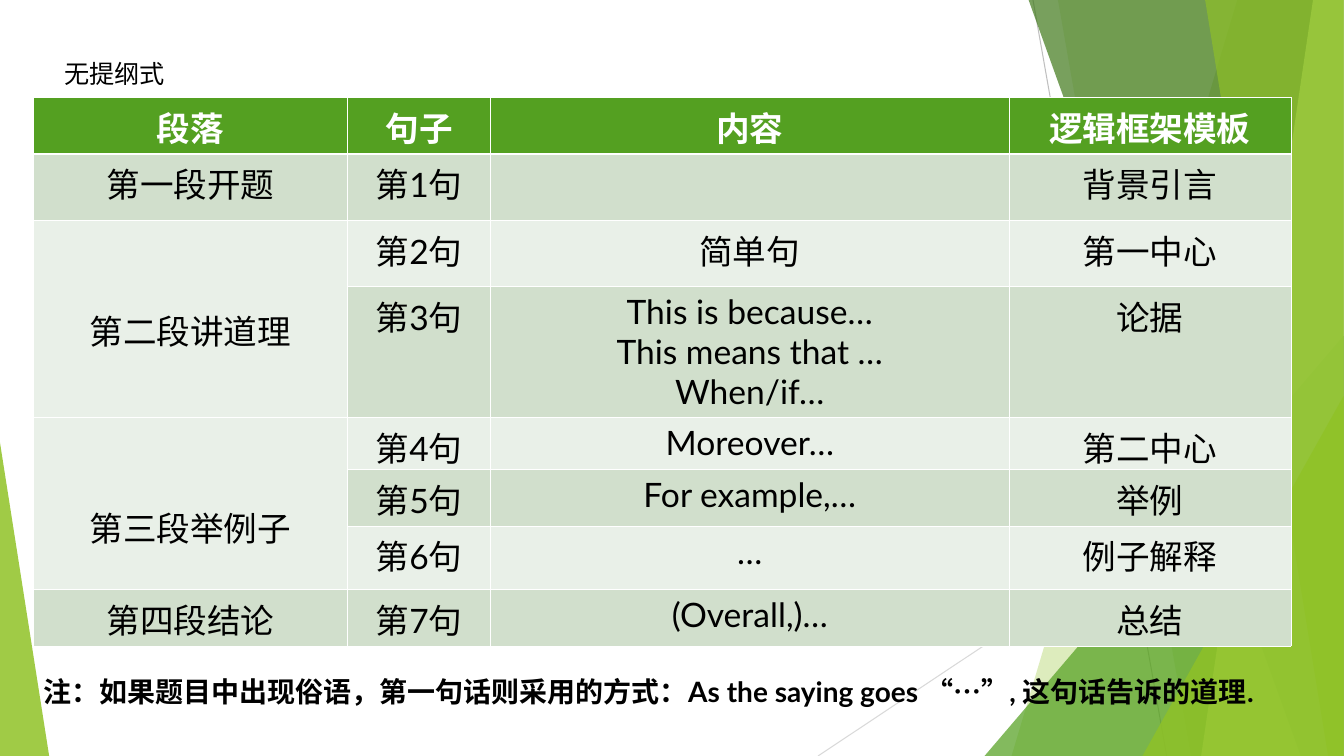
from dataclasses import dataclass

from lxml import etree
from pptx import Presentation
from pptx import util as u
from pptx.dml.color import RGBColor
from pptx.enum import lang, shapes, text
from pptx.oxml import ns

Cm, Pt = u.Cm, u.Pt


@dataclass(frozen=True)
class Theme:
    font: str = "Lato"
    white: str = "FFFFFF"
    black: str = "000000"
    lime: str = "90C226"
    pale: str = "C0E474"
    green: str = "54A021"
    dark: str = "3F7819"
    bands: tuple = ("E9F0E8", "D1DFCC")
    lines: tuple = ("BFBFBF", "D9D9D9")
    title: int = 18
    cell: int = 24
    note: int = 20
    thin: float = 0.45
    thick: float = 1.47


T = Theme()

HEAD = ("段落", "句子", "内容", "逻辑框架模板")
# Paragraph name, then its (content, logic) sentences
PARTS = (
    ("第一段开题", (("", "背景引言"),)),
    ("第二段讲道理", (
        ("简单句", "第一中心"),
        ("This is because…\nThis means that …\nWhen/if…", "论据"))),
    ("第三段举例子", (
        ("Moreover…", "第二中心"),
        ("For example,…", "举例"),
        ("…", "例子解释"))),
    ("第四段结论", (("(Overall,)…", "总结"),)),
)
COLS = (7.92, 3.61, 13.06, 7.11)
ROWS = (1.42, 1.68, 1.65, 3.3, 1.32, 1.42, 1.6, 1.42)


def put(obj, **vals):
    for key, val in vals.items():
        setattr(obj, key, val)


def write(frame, words, size, color=T.black, bold=False, align=text.PP_ALIGN.LEFT):
    frame.text = words
    for para in frame.paragraphs:
        para.alignment = align
        for run in para.runs:
            put(run.font, name=T.font, size=Pt(size), bold=bold,
                language_id=lang.MSO_LANGUAGE_ID.SIMPLIFIED_CHINESE)
            run.font.color.rgb = RGBColor.from_string(color)


def paint(shape, color, alpha):
    shape.shadow.inherit = False
    shape.line.fill.background()
    shape.fill.solid()
    shape.fill.fore_color.rgb = RGBColor.from_string(color)
    tone = shape.fill._xPr.find(".//" + ns.qn("a:srgbClr"))
    etree.SubElement(tone, ns.qn("a:alpha"), val=str(alpha * 1000))


def edge(cell, side, width):
    props = cell._tc.get_or_add_tcPr()
    line = etree.SubElement(props, ns.qn("a:ln" + side), w=str(Pt(width)))
    fill = etree.SubElement(line, ns.qn("a:solidFill"))
    etree.SubElement(fill, ns.qn("a:srgbClr"), val=T.white)


# Green facets along both sides
def decor(slide, box):
    left, top, wide, high = box
    right, base = left + wide, top + high

    def line(x1, y1, x2, y2, color):
        rule = slide.shapes.add_connector(
            shapes.MSO_CONNECTOR.STRAIGHT, Cm(left + x1), Cm(top + y1),
            Cm(left + x2), Cm(top + y2))
        rule.line.width = Pt(0.75)
        rule.line.color.rgb = RGBColor.from_string(color)
        etree.SubElement(rule._element.spPr, ns.qn("a:effectLst"))

    def slab(x1, x2, color, alpha):
        pen = slide.shapes.build_freeform(Cm(left + x1), Cm(top))
        pen.add_line_segments([(Cm(right), Cm(top)), (Cm(right), Cm(base)),
                               (Cm(left + x2), Cm(base))])
        paint(pen.convert_to_shape(), color, alpha)

    def wedge(x, y, w, apex, color, alpha):
        tri = slide.shapes.add_shape(
            shapes.MSO_SHAPE.ISOSCELES_TRIANGLE, Cm(left + x), Cm(top + y),
            Cm(w), Cm(high - y))
        tri.adjustments[0] = apex
        paint(tri, color, alpha)

    line(26.04, 0, 29.41, high, T.lines[0])
    line(wide, 10.24, 20.62, high, T.lines[1])
    slab(31.19, 25.5, T.lime, 30)
    slab(26.67, 30.02, T.lime, 20)
    wedge(24.82, 8.46, wide - 24.82, 1, T.green, 72)
    slab(25.93, 32.79, T.dark, 70)
    slab(33.1, 30.28, T.pale, 70)
    slab(30.38, 33.48, T.lime, 65)
    wedge(28.8, 9.98, wide - 28.8, 1, T.lime, 80)
    wedge(0, 11.15, 1.24, 0, T.lime, 85)


# Heading above the table
def title(slide, box):
    left, top, wide, high = map(Cm, box)
    head = slide.shapes.title
    put(head, left=left, top=top, width=wide, height=high)
    put(head.text_frame, word_wrap=False, vertical_anchor=text.MSO_ANCHOR.TOP,
        auto_size=text.MSO_AUTO_SIZE.SHAPE_TO_FIT_TEXT)
    write(head.text_frame, "无提纲式", T.title)


# Essay plan table
def plan(slide, box):
    grid = slide.shapes.add_table(len(ROWS), len(COLS), *map(Cm, box)).table
    for col, wide in zip(grid.columns, COLS):
        col.width = Cm(wide)
    for row, high in zip(grid.rows, ROWS):
        row.height = Cm(high)

    def fill(row, col, words):
        cell = grid.cell(row, col)
        top = row == 0
        write(cell.text_frame, words, T.cell, T.white if top else T.black,
              top, text.PP_ALIGN.CENTER)

    for r in range(len(ROWS)):
        for c in range(len(COLS)):
            cell = grid.cell(r, c)
            for side in "LRTB":
                bold = (r, side) in ((0, "B"), (1, "T"))
                edge(cell, side, T.thick if bold else T.thin)
            cell.fill.solid()
            tone = T.bands[r % 2] if r else T.green
            cell.fill.fore_color.rgb = RGBColor.from_string(tone)

    for c, words in enumerate(HEAD):
        fill(0, c, words)
    r = 1
    for name, lines in PARTS:
        fill(r, 0, name)
        if len(lines) > 1:
            first = grid.cell(r, 0)
            first.merge(grid.cell(r + len(lines) - 1, 0))
            first.margin_top = Cm(2.15)
        for body, logic in lines:
            for c, words in enumerate((f"第{r}句", body, logic), 1):
                fill(r, c, words)
            r += 1


# Note below the table
def note(slide, box):
    frame = slide.shapes.add_textbox(*map(Cm, box)).text_frame
    put(frame, word_wrap=True, auto_size=text.MSO_AUTO_SIZE.SHAPE_TO_FIT_TEXT)
    write(frame, "注：如果题目中出现俗语，第一句话则采用的方式："
          "As the saying goes “…”, 这句话告诉的道理.", T.note, bold=True)


def main():
    deck = Presentation()
    put(deck, slide_width=Cm(33.88), slide_height=Cm(19.05))
    slide = deck.slides.add_slide(deck.slide_layouts[5])
    decor(slide, (0, 0, 33.87, 19.05))
    title(slide, (1.37, 1.35, 3.05, 1.02))
    plan(slide, (0.84, 2.46, sum(COLS), sum(ROWS)))
    note(slide, (0.84, 16.87, 32.03, 1.12))
    deck.save("out.pptx")


if __name__ == "__main__":
    main()
